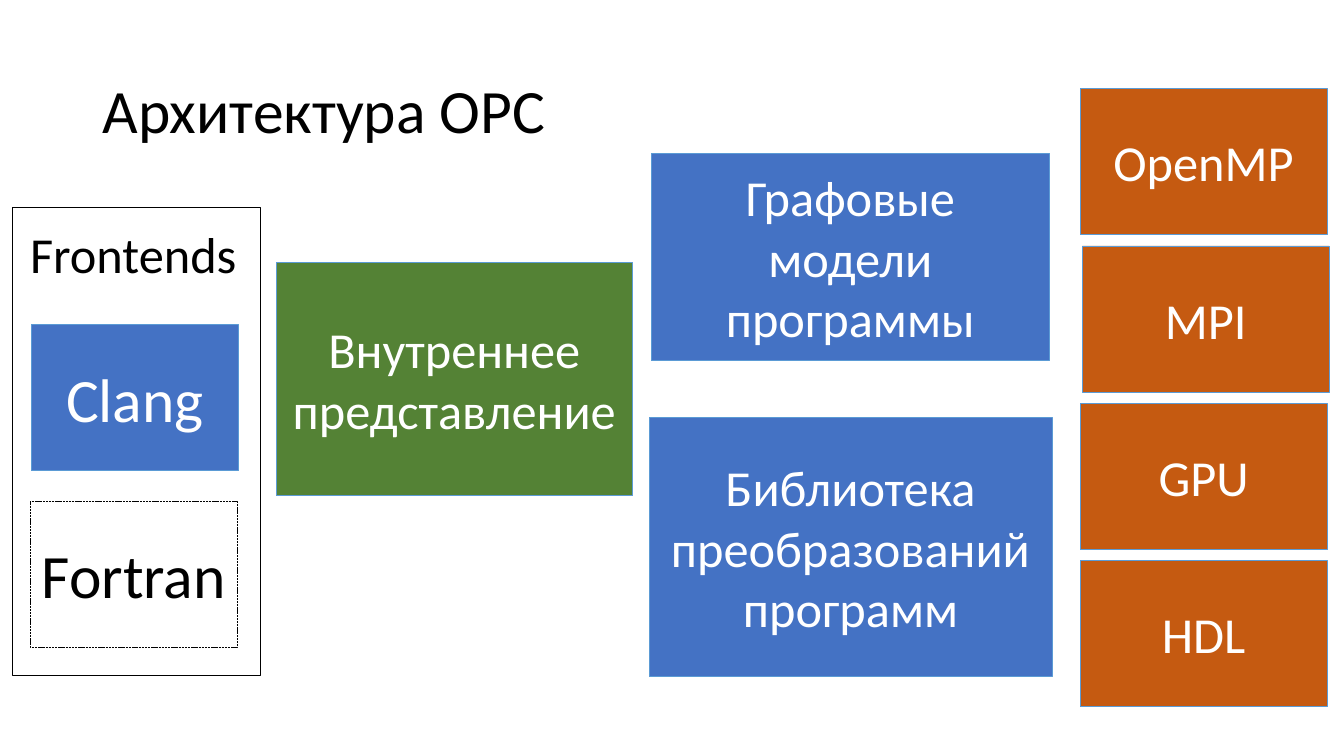
from dataclasses import dataclass

from pptx import Presentation
from pptx.dml.color import RGBColor
from pptx.enum.dml import MSO_LINE
from pptx.enum.shapes import MSO_SHAPE
from pptx.enum.text import MSO_ANCHOR, PP_ALIGN
from pptx.util import Pt


@dataclass(frozen=True)
class Theme:
    font: str = "Calibri"
    ink: str = "000000"
    paper: str = "FFFFFF"
    border: str = "5B9BD5"
    core: str = "548235"
    module: str = "4472C4"
    backend: str = "C55A11"
    large: int = 44
    medium: int = 36
    outline: float = 0.5


THEME = Theme()


def apply(target, formats):
    for name, value in formats.items():
        setattr(target, name, value)


def write(frame, text, size, color, align, anchor, wrap=True, spacing=1.0):
    apply(frame, {
        "word_wrap": wrap, "vertical_anchor": anchor,
        "margin_left": Pt(7.2), "margin_right": Pt(7.2),
        "margin_top": Pt(3.6), "margin_bottom": Pt(3.6),
    })
    paragraph = frame.paragraphs[0]
    paragraph.text = text
    apply(paragraph, {"alignment": align, "line_spacing": spacing})
    apply(paragraph.font, {"name": THEME.font, "size": Pt(size)})
    paragraph.font.color.rgb = RGBColor.from_string(color)


def add_label(slide, bounds, text, size, **options):
    label = slide.shapes.add_textbox(*map(Pt, bounds))
    write(label.text_frame, text, size, THEME.ink, PP_ALIGN.LEFT, **options)


def add_block(slide, bounds, text="", fill=None, size=THEME.medium, dash=None):
    """Draw a filled block, or an outlined one with dark text if fill is None."""
    block = slide.shapes.add_shape(MSO_SHAPE.RECTANGLE, *map(Pt, bounds))
    block.shadow.inherit = False
    if fill:
        block.fill.solid()
        block.fill.fore_color.rgb = RGBColor.from_string(fill)
    else:
        block.fill.background()
    border, ink = (THEME.border, THEME.paper) if fill else (THEME.ink, THEME.ink)
    block.line.color.rgb = RGBColor.from_string(border)
    apply(block.line, {"width": Pt(THEME.outline), "dash_style": dash})
    if text:
        write(block.text_frame, text, size, ink, PP_ALIGN.CENTER, MSO_ANCHOR.MIDDLE)


def main():
    deck = Presentation()
    apply(deck, {"slide_width": Pt(960.5), "slide_height": Pt(540)})
    slide = deck.slides.add_slide(deck.slide_layouts[6])

    # Title
    add_label(slide, (66.2, 28.8, 828, 104.4), "Архитектура ОРС", THEME.large,
              anchor=MSO_ANCHOR.MIDDLE, spacing=0.9)

    # Frontends
    add_block(slide, (9, 148.2, 177.1, 334))
    add_label(slide, (14.4, 155.5, 163.4, 50.4), "Frontends", THEME.medium,
              anchor=MSO_ANCHOR.TOP, wrap=False)
    add_block(slide, (22.3, 231.8, 148.3, 104.4), "Clang", THEME.module, THEME.large)
    add_block(slide, (21.6, 358, 148.3, 104.4), "Fortran", size=THEME.large,
              dash=MSO_LINE.SQUARE_DOT)

    # Internal representation
    add_block(slide, (197.3, 187.5, 254.9, 166.5), "Внутреннее представление", THEME.core)

    # Models and transformations
    add_block(slide, (465.4, 109.4, 284.6, 148.3), "Графовые модели программы",
              THEME.module)
    add_block(slide, (463.9, 298.4, 288, 185),
              "Библиотека преобразований программ", THEME.module)

    # Backends, evenly stacked
    backends = (("OpenMP", 772), ("MPI", 773.5), ("GPU", 772), ("HDL", 772))
    for row, (backend, left) in enumerate(backends):
        add_block(slide, (left, 63.3 + 112.4 * row, 176.4, 104.4), backend, THEME.backend)

    deck.save("out.pptx")


if __name__ == "__main__":
    main()
